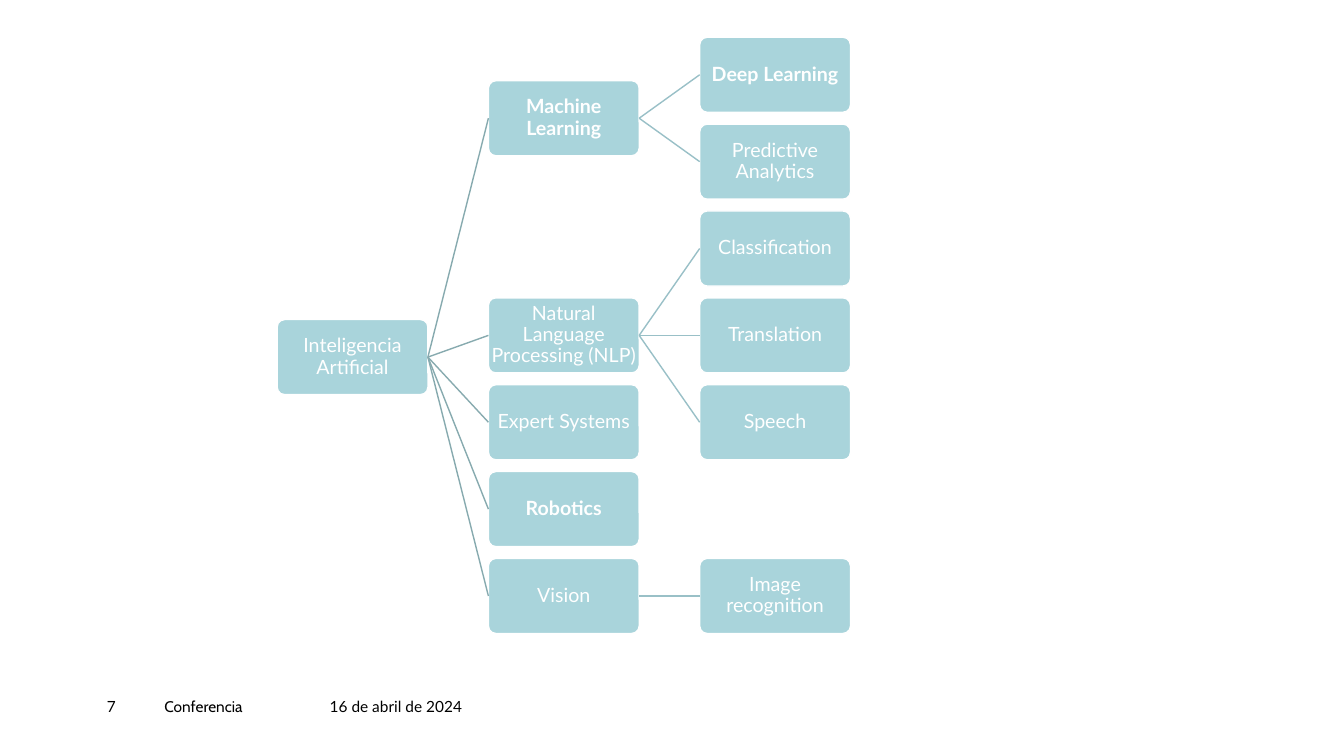
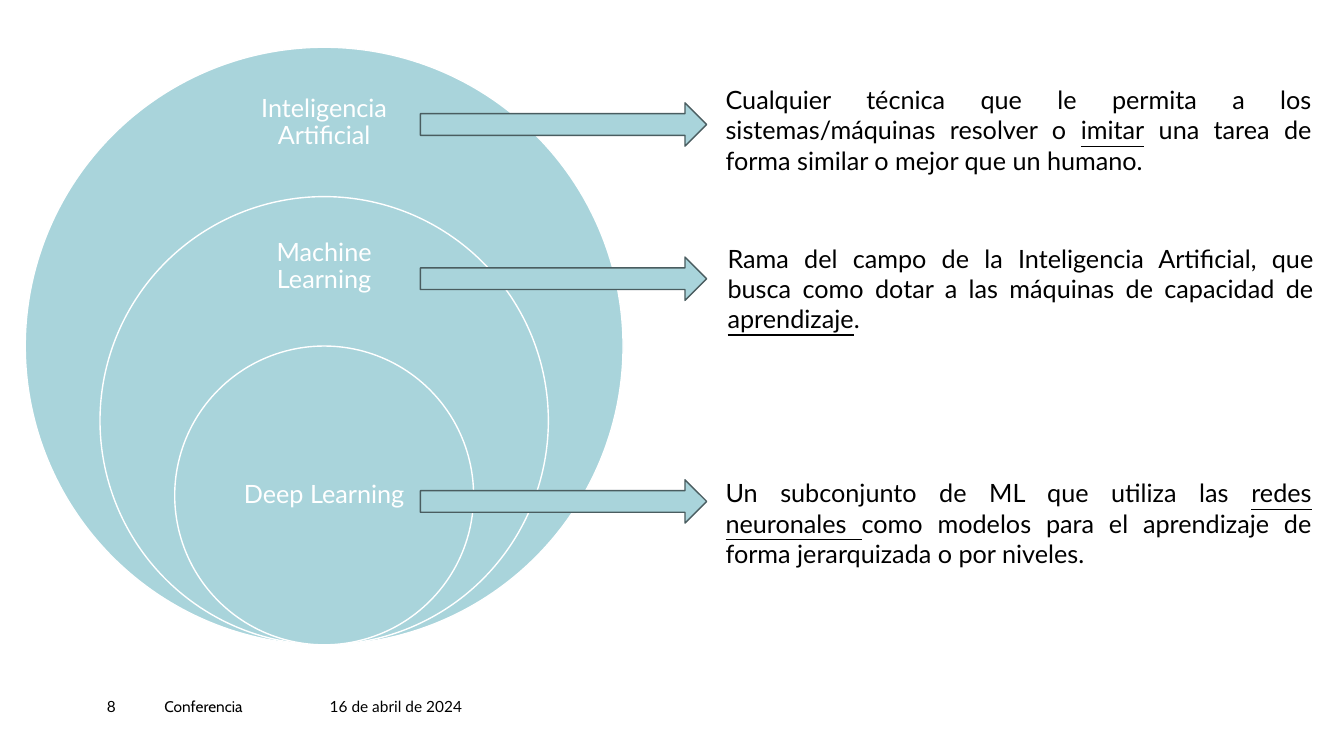
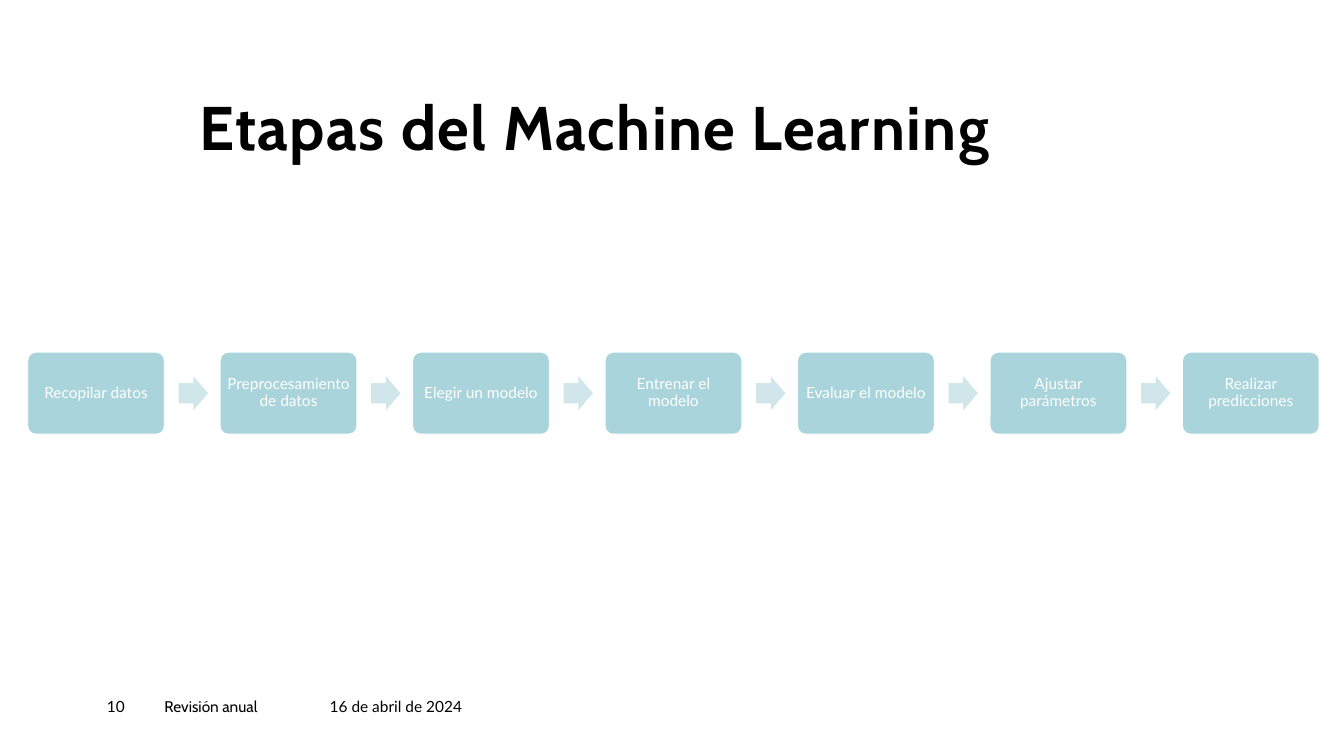
from dataclasses import dataclass

from lxml import etree
from pptx import Presentation
from pptx.dml.color import RGBColor
from pptx.enum.shapes import MSO_CONNECTOR, MSO_SHAPE
from pptx.enum.text import MSO_ANCHOR, PP_ALIGN
from pptx.oxml.ns import qn
from pptx.util import Inches, Pt

ROUNDED, OVAL, ARROW = MSO_SHAPE.ROUNDED_RECTANGLE, MSO_SHAPE.OVAL, MSO_SHAPE.RIGHT_ARROW
STRAIGHT = MSO_CONNECTOR.STRAIGHT
TOP, MIDDLE, BOTTOM = MSO_ANCHOR.TOP, MSO_ANCHOR.MIDDLE, MSO_ANCHOR.BOTTOM
LEFT, CENTER, JUSTIFY = PP_ALIGN.LEFT, PP_ALIGN.CENTER, PP_ALIGN.JUSTIFY
LEFT_SIDE, RIGHT_SIDE = 1, 3


@dataclass(frozen=True)
class Theme:
    ink: str = "000000"
    paper: str = "FFFFFF"
    accent: str = "A9D4DB"
    pale: str = "D1E6EA"
    outline: str = "4A5D60"
    branches: tuple = ("87AAAF", "99C0C7")
    heading_font: str = "Cabin"
    body_font: str = "Lato"
    title_size: int = 44
    body_size: int = 18
    node_size: int = 14
    small_size: int = 11
    letter_spacing: int = 100
    line_width: int = 1
    tight: float = 0.9


@dataclass(frozen=True)
class Grid:
    left: float
    top: float
    column_step: float
    row_step: float
    width: float
    height: float

    def cell(self, column, row):
        return (self.left + column * self.column_step, self.top + row * self.row_step,
                self.width, self.height)


class Deck:
    def __init__(self, theme):
        self.theme = theme
        self.presentation = Presentation()
        self.apply(self.presentation, {"slide_width": Inches(13.33), "slide_height": Inches(7.5)})
        self.slide = None

    @staticmethod
    def apply(target, values):
        for name, value in values.items():
            setattr(target, name, value)

    def new_slide(self, number, event):
        self.slide = self.presentation.slides.add_slide(self.presentation.slide_layouts[6])
        footer = ((7.95, 4.28, number, self.theme.body_font),
                  (12.23, 12.3, event, self.theme.heading_font),
                  (24.53, 17.4, "16 de abril de 2024", self.theme.body_font))
        for left, width, text, font in footer:
            self.text((left, 92.27, width, 3.6), text, self.theme.small_size, font=font, inset=0)

    def place(self, box):
        width, height = self.presentation.slide_width, self.presentation.slide_height
        return [round(share * side / 100) for share, side in zip(box, (width, height) * 2)]

    def fill_text(self, shape, runs, size, color=None, font=None, bold=False, align=LEFT,
                  anchor=TOP, inset=None, spacing=1.0):
        frame = shape.text_frame
        self.apply(frame, {"word_wrap": True, "vertical_anchor": anchor})
        if inset is not None:
            sides = ("margin_left", "margin_top", "margin_right", "margin_bottom")
            self.apply(frame, dict.fromkeys(sides, Inches(inset)))
        paragraph = frame.paragraphs[0]
        self.apply(paragraph, {"alignment": align, "line_spacing": spacing})
        for position, text in enumerate([runs] if isinstance(runs, str) else runs):
            run = paragraph.add_run()
            run.text = text
            self.apply(run.font, {"size": Pt(size), "name": font or self.theme.body_font,
                                  "bold": bold, "underline": position % 2 == 1})
            run.font.color.rgb = RGBColor.from_string(color or self.theme.ink)

    def text(self, box, runs, size, **style):
        shape = self.slide.shapes.add_textbox(*self.place(box))
        self.fill_text(shape, runs, size, **style)
        return shape

    def title(self, text):
        shape = self.text((7.88, 12.8, 72.83, 8.93), text, self.theme.title_size, bold=True,
                          font=self.theme.heading_font, align=CENTER, anchor=BOTTOM,
                          inset=0, spacing=self.theme.tight)
        run = shape.text_frame.paragraphs[0].runs[0]
        run._r.get_or_add_rPr().set("spc", str(self.theme.letter_spacing))

    def shape(self, kind, box, fill=None, line=None, adjustments=()):
        shape = self.slide.shapes.add_shape(kind, *self.place(box))
        shape.shadow.inherit = False
        shape.fill.solid()
        shape.fill.fore_color.rgb = RGBColor.from_string(fill or self.theme.accent)
        if line:
            shape.line.color.rgb = RGBColor.from_string(line)
            shape.line.width = Pt(self.theme.line_width)
        else:
            shape.line.fill.background()
        for position, value in enumerate(adjustments):
            shape.adjustments[position] = value
        return shape

    def label(self, box, text):
        self.text(box, text, self.theme.body_size, color=self.theme.paper, align=CENTER,
                  anchor=MIDDLE, inset=0.14, spacing=self.theme.tight)

    def card(self, box, text, size, bold=False, inset=0.0):
        shape = self.shape(ROUNDED, box, line=self.theme.paper, adjustments=(0.1,))
        self.fill_text(shape, text, size, color=self.theme.paper, bold=bold, align=CENTER,
                       anchor=MIDDLE, inset=inset, spacing=self.theme.tight)
        return shape

    def connect(self, parent, child, color):
        connector = self.slide.shapes.add_connector(STRAIGHT, 0, 0, 0, 0)
        connector.begin_connect(parent, RIGHT_SIDE)
        connector.end_connect(child, LEFT_SIDE)
        connector.line.color.rgb = RGBColor.from_string(color)
        connector.line.width = Pt(self.theme.line_width)
        etree.SubElement(connector._element.spPr, qn("a:effectLst"))

    def tree(self, grid, node, level=0):
        text, row, bold, children = node
        parent = self.card(grid.cell(level, row), text, self.theme.node_size, bold)
        for child in children:
            self.connect(parent, self.tree(grid, child, level + 1), self.theme.branches[level])
        return parent


FIELDS = ("Inteligencia Artificial", 3.25, False, (
    ("Machine Learning", 0.5, True, (
        ("Deep Learning", 0, True, ()),
        ("Predictive Analytics", 1, False, ()))),
    ("Natural Language Processing (NLP)", 3, False, (
        ("Classification", 2, False, ()),
        ("Translation", 3, False, ()),
        ("Speech", 4, False, ()))),
    ("Expert Systems", 4, False, ()),
    ("Robotics", 5, True, ()),
    ("Vision", 6, False, (
        ("Image recognition", 6, False, ()),))))

CIRCLES = (
    ("Inteligencia Artificial", 1, 16.2, 16.47, (53.25, 10.53),
     ("Cualquier técnica que le permita a los sistemas/máquinas resolver o ", "imitar",
      " una tarea de forma similar o mejor que un humano.")),
    ("Machine Learning", 0.75, 35.27, 36.87, (53.4, 31.47),
     ("Rama del campo de la Inteligencia Artificial, que busca como dotar a las máquinas "
      "de capacidad de ", "aprendizaje", ".")),
    ("Deep Learning", 0.5, 65.47, 66.33, (53.25, 62.53),
     ("Un subconjunto de ML que utiliza las ", "redes neuronales ",
      "como modelos para el aprendizaje de forma jerarquizada o por niveles.")))

STAGES = ("Recopilar datos", "Preprocesamiento de datos", "Elegir un modelo",
          "Entrenar el modelo", "Evaluar el modelo", "Ajustar parámetros",
          "Realizar predicciones")


def fields_slide(deck):
    deck.new_slide("7", "Conferencia")
    deck.tree(Grid(20.62, 4.93, 15.72, 11.49, 11.22, 9.93), FIELDS)


def circles_slide(deck):
    deck.new_slide("8", "Conferencia")
    middle, bottom, width, height = 24.12, 85.3, 44.48, 79.05
    label_width, label_height, arrow_height = 15.7, 11.9, 5.73
    for text, scale, label_middle, _, _, _ in CIRCLES:
        deck.shape(OVAL, (middle - width * scale / 2, bottom - height * scale,
                          width * scale, height * scale), line=deck.theme.paper)
        deck.label((middle - label_width / 2, label_middle - label_height / 2,
                    label_width, label_height), text)
    for _, _, _, arrow_middle, corner, description in CIRCLES:
        deck.text((*corner, 45.08, 13.47), description, deck.theme.body_size, align=JUSTIFY)
        deck.shape(ARROW, (31.28, arrow_middle - arrow_height / 2, 21.3, arrow_height),
                   line=deck.theme.outline)


def stages_slide(deck):
    deck.new_slide("10", "Revisión anual")
    deck.title("Etapas del Machine Learning")
    cards = Grid(2.05, 46.57, 14.32, 0, 10.2, 10.9)
    arrows = Grid(13.3, 49.77, 14.32, 0, 2.18, 4.5)
    for column, stage in enumerate(STAGES):
        deck.card(cards.cell(column, 0), stage, deck.theme.small_size, inset=0.04)
        if column < len(STAGES) - 1:
            deck.shape(ARROW, arrows.cell(column, 0), fill=deck.theme.pale,
                       adjustments=(0.6, 0.5))


def main():
    deck = Deck(Theme())
    for build in (fields_slide, circles_slide, stages_slide):
        build(deck)
    deck.presentation.save("out.pptx")


if __name__ == "__main__":
    main()
